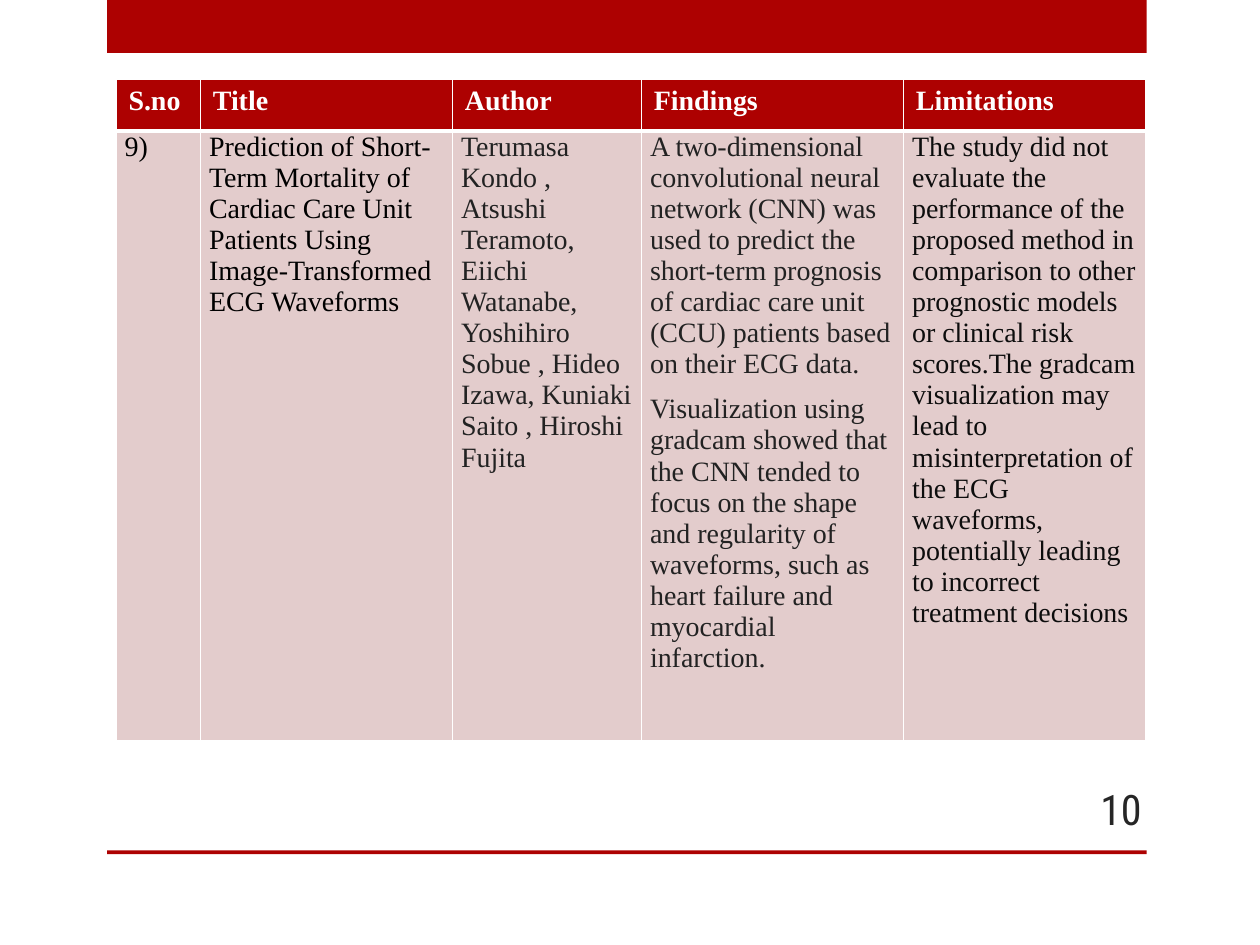
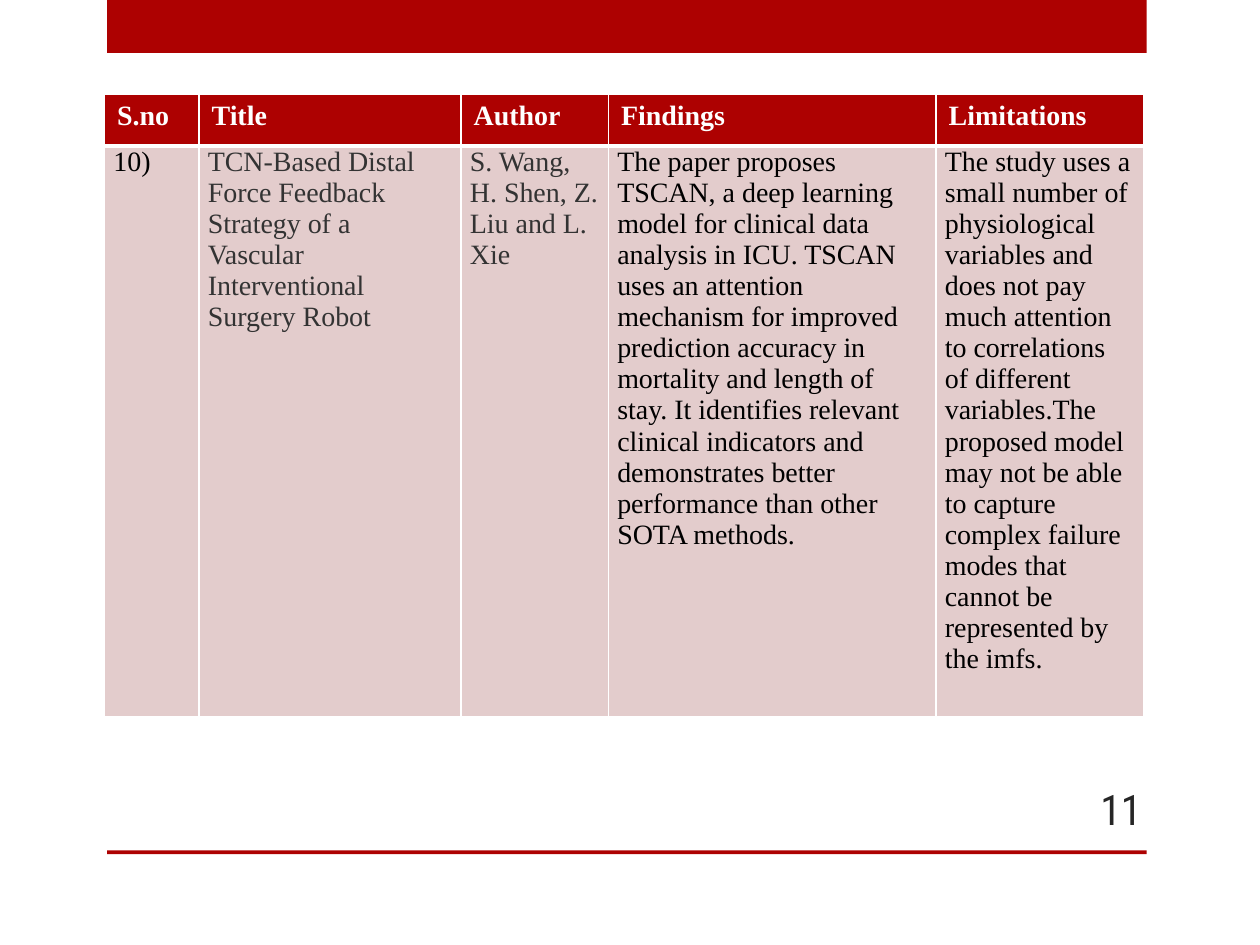
from lxml import etree
from pptx import Presentation
from pptx.dml.color import RGBColor
from pptx.enum.shapes import MSO_SHAPE
from pptx.enum.text import MSO_ANCHOR, PP_ALIGN
from pptx.oxml.ns import qn
from pptx.util import Inches, Pt

# Shared look
RED = RGBColor(0xAD, 0x01, 0x01)
PINK = RGBColor(0xE3, 0xCC, 0xCC)
WHITE = RGBColor(0xFF, 0xFF, 0xFF)
BLACK = RGBColor(0x00, 0x00, 0x00)
NEAR_BLACK = RGBColor(0x0D, 0x0D, 0x0D)
CHARCOAL = RGBColor(0x22, 0x22, 0x22)
NUMBER_GREY = RGBColor(0x26, 0x26, 0x26)
DARK_GREY = RGBColor(0x33, 0x33, 0x33)
TABLE_FONT = "Times New Roman"
NUMBER_FONT = "Roboto Condensed"
HEADINGS = ["S.no", "Title", "Author", "Findings", "Limitations"]
HEADER_HEIGHT = 0.41
THIN, THICK = Pt(1), Pt(3)

# One survey entry per slide; each cell holds its colour and its paragraphs
SURVEY = [
    {
        "number": "10",
        "position": (0.92, 0.63),
        "columns": [0.67, 2, 1.5, 2.08, 1.92],
        "row_height": 4.84,
        "cells": [
            (BLACK, ["9)"]),
            (BLACK, ["Prediction of Short-Term Mortality of Cardiac Care Unit "
                     "Patients Using Image-Transformed ECG Waveforms"]),
            (CHARCOAL, ["Terumasa Kondo , Atsushi Teramoto, Eiichi Watanabe, "
                        "Yoshihiro Sobue , Hideo Izawa, Kuniaki Saito , "
                        "Hiroshi Fujita"]),
            (CHARCOAL, ["A two-dimensional convolutional neural network (CNN) was "
                        "used to predict the short-term prognosis of cardiac care "
                        "unit (CCU) patients based on their ECG data.",
                        "Visualization using gradcam showed that the CNN tended to "
                        "focus on the shape and regularity of waveforms, such as "
                        "heart failure and myocardial infarction."]),
            (NEAR_BLACK, ["The study did not evaluate the performance of the "
                          "proposed method in comparison to other prognostic models "
                          "or clinical risk scores.The gradcam visualization may "
                          "lead to misinterpretation of the ECG waveforms, "
                          "potentially leading to incorrect treatment decisions"]),
        ],
    },
    {
        "number": "11",
        "position": (0.83, 0.75),
        "columns": [0.75, 2.08, 1.17, 2.6, 1.65],
        "row_height": 4.2,
        "cells": [
            (BLACK, ["10)"]),
            (DARK_GREY, ["TCN-Based Distal Force Feedback Strategy of a Vascular "
                         "Interventional Surgery Robot"]),
            (DARK_GREY, ["S. Wang, H. Shen, Z. Liu and L. Xie"]),
            (BLACK, ["The paper proposes TSCAN, a deep learning model for clinical "
                     "data analysis in ICU. TSCAN uses an attention mechanism for "
                     "improved prediction accuracy in mortality and length of stay. "
                     "It identifies relevant clinical indicators and demonstrates "
                     "better performance than other SOTA methods."]),
            (BLACK, ["The study uses a small number of physiological variables and "
                     "does not pay much attention to correlations of different "
                     "variables.The proposed model may not be able to capture "
                     "complex failure modes that cannot be represented by the "
                     "imfs."]),
        ],
    },
]


def add_band(slide, top, height):
    shape = slide.shapes.add_shape(MSO_SHAPE.RECTANGLE, Inches(0.85), Inches(top),
                                   Inches(8.25), Inches(height))
    shape.shadow.inherit = False
    shape.fill.solid()
    shape.fill.fore_color.rgb = RED
    shape.line.fill.background()


def add_run(paragraph, text, font_name, size, color, bold=False):
    run = paragraph.add_run()
    run.text = text
    run.font.name = font_name
    run.font.size = Pt(size)
    run.font.bold = bold
    run.font.color.rgb = color


def add_page_number(slide, number):
    box = slide.shapes.add_textbox(Inches(8.33), Inches(6.22),
                                   Inches(0.83), Inches(0.4))
    frame = box.text_frame
    frame.word_wrap = True
    frame.vertical_anchor = MSO_ANCHOR.MIDDLE
    paragraph = frame.paragraphs[0]
    paragraph.alignment = PP_ALIGN.RIGHT
    add_run(paragraph, number, NUMBER_FONT, 24, NUMBER_GREY)


def set_borders(cell, top, bottom):
    """Draw white cell edges; they must precede the fill in the cell XML."""
    properties = cell._tc.get_or_add_tcPr()
    edges = [("a:lnL", THIN), ("a:lnR", THIN), ("a:lnT", top), ("a:lnB", bottom)]
    for index, (tag, width) in enumerate(edges):
        line = etree.Element(qn(tag), w=str(int(width)))
        fill = etree.SubElement(line, qn("a:solidFill"))
        etree.SubElement(fill, qn("a:srgbClr"), val=str(WHITE))
        properties.insert(index, line)


def fill_cell(cell, fill_color, text_color, paragraphs, bold=False):
    cell.fill.solid()
    cell.fill.fore_color.rgb = fill_color
    frame = cell.text_frame
    for index, text in enumerate(paragraphs):
        paragraph = frame.add_paragraph() if index else frame.paragraphs[0]
        if len(paragraphs) > 1:
            paragraph.space_after = Pt(8)
        add_run(paragraph, text, TABLE_FONT, 16, text_color, bold)


def add_survey_table(slide, position, columns, row_height, cells):
    left, top = position
    table = slide.shapes.add_table(
        2, len(columns), Inches(left), Inches(top),
        Inches(sum(columns)), Inches(HEADER_HEIGHT + row_height)).table
    table.rows[0].height = Inches(HEADER_HEIGHT)
    table.rows[1].height = Inches(row_height)

    for index, width in enumerate(columns):
        table.columns[index].width = Inches(width)

        header = table.cell(0, index)
        fill_cell(header, RED, WHITE, [HEADINGS[index]], bold=True)
        set_borders(header, THIN, THICK)

        body = table.cell(1, index)
        color, paragraphs = cells[index]
        fill_cell(body, PINK, color, paragraphs)
        body.margin_left = body.margin_right = Inches(0.07)
        body.margin_top = body.margin_bottom = 0
        set_borders(body, THICK, THIN)


def main():
    presentation = Presentation()
    presentation.slide_width = Inches(10)
    presentation.slide_height = Inches(7.5)
    blank_layout = presentation.slide_layouts[6]

    for entry in SURVEY:
        slide = presentation.slides.add_slide(blank_layout)
        # Header band and footer rule
        add_band(slide, 0, 0.42)
        add_band(slide, 6.75, 0.03)
        add_page_number(slide, entry["number"])
        add_survey_table(slide, entry["position"], entry["columns"],
                         entry["row_height"], entry["cells"])

    presentation.save("out.pptx")


if __name__ == "__main__":
    main()
